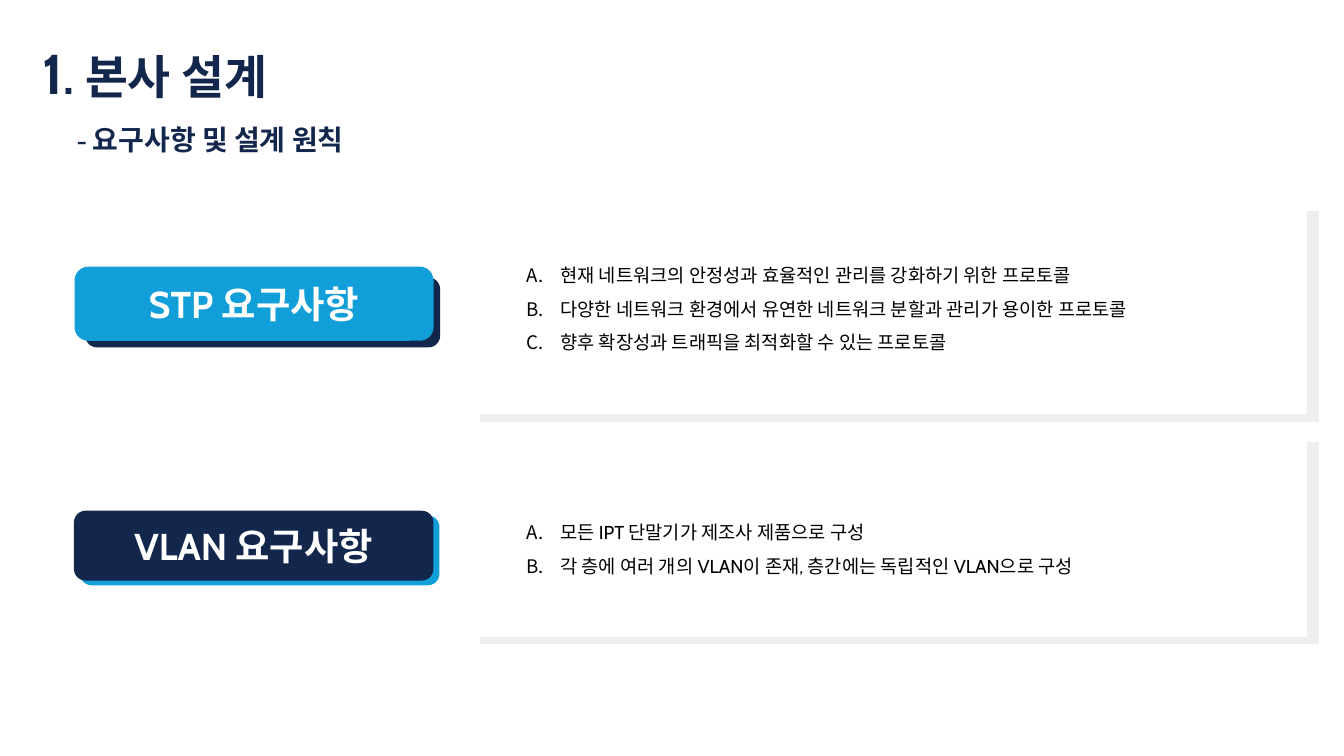
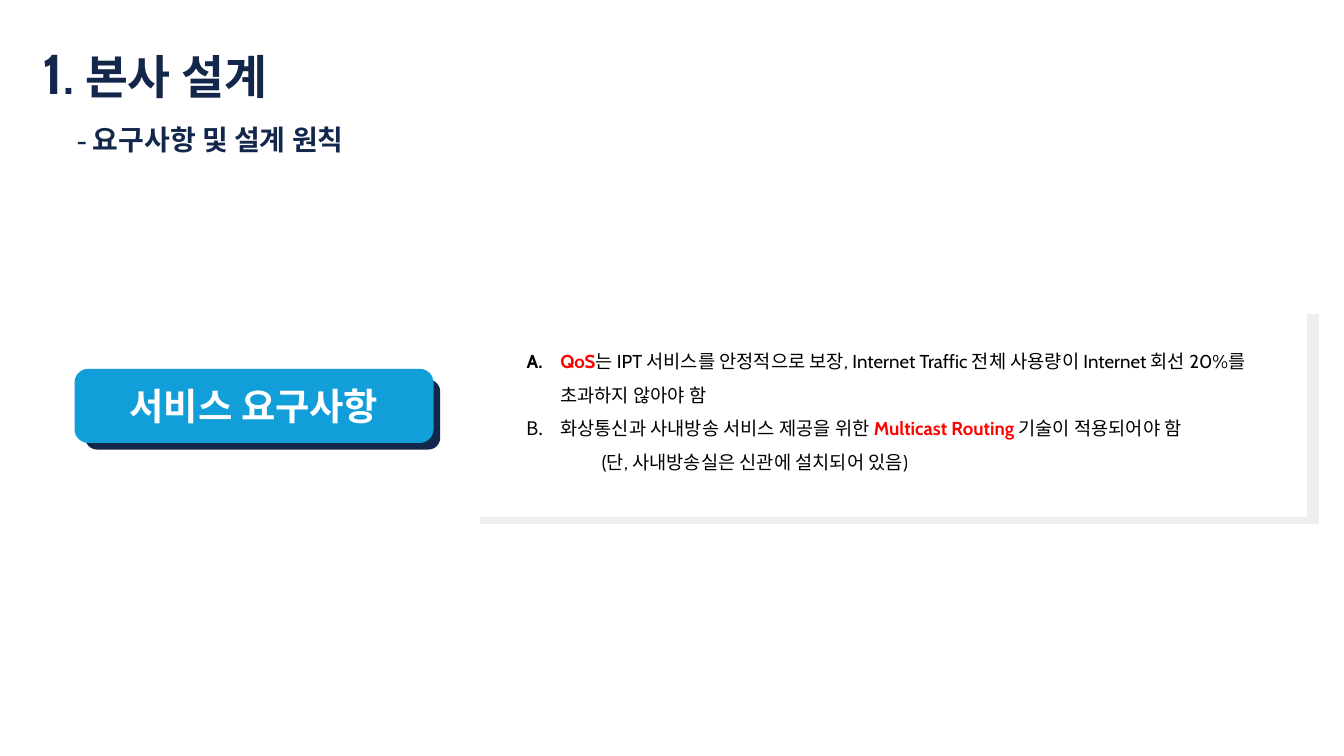
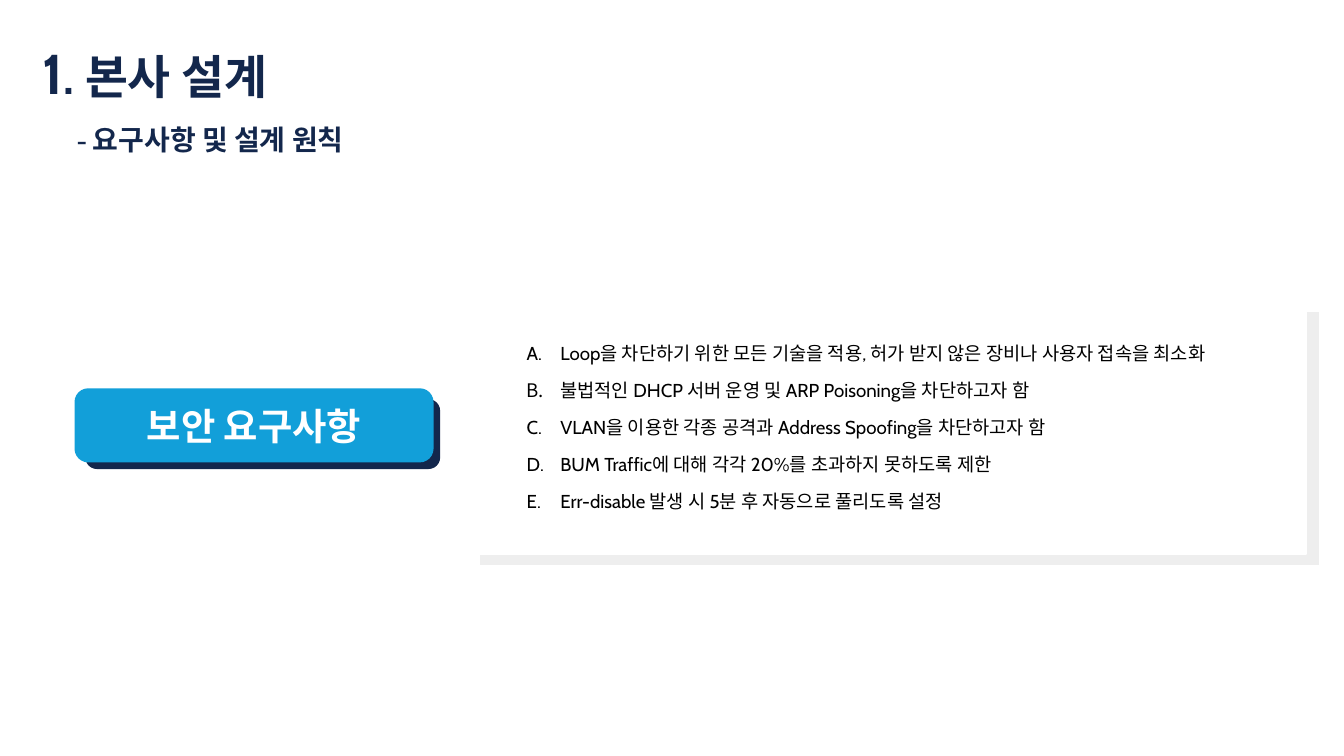
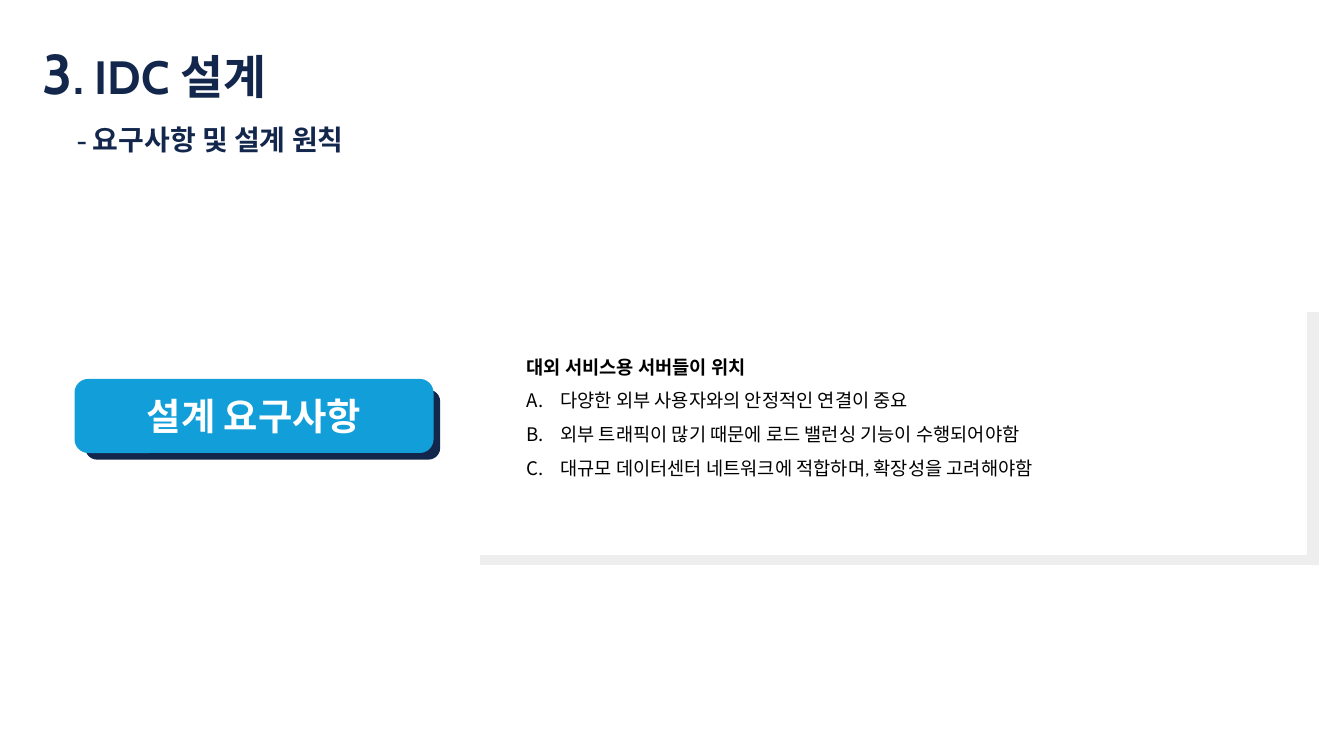
from pptx import Presentation
from pptx.dml.color import RGBColor
from pptx.enum.shapes import MSO_SHAPE
from pptx.enum.text import MSO_ANCHOR, PP_ALIGN
from pptx.oxml.ns import qn
from pptx.util import Inches, Pt
from lxml.etree import SubElement

NAVY, BLUE, GRAY, WHITE, BLACK, RED = "13274C", "129FD9", "EEEEEE", "FFFFFF", "000000", "FF0000"
FONT = "Cabin"
SUBTITLE = "요구사항 및 설계 원칙"
LEFT, HANG = 1.11, 0.5

LIGHT = dict(left=1.14, width=5.28, shift=(0.13, 0.13), front=BLUE, back=NAVY, edge=4.5)
DARK = dict(left=1.1, width=5.35, shift=(0.09, 0.07), front=NAVY, back=BLUE, edge=0)

SLIDES = [
    ("1", "본사 설계", [
        dict(label="STP 요구사항", look=LIGHT, top=4, card=(2.99, 3.16, 0.14), text=(3.15, 2.72),
             font="Arial", lines=[
                 ("item", "현재 네트워크의 안정성과 효율적인 관리를 강화하기 위한 프로토콜"),
                 ("item", "다양한 네트워크 환경에서 유연한 네트워크 분할과 관리가 용이한 프로토콜"),
                 ("item", "향후 확장성과 트래픽을 최적화할 수 있는 프로토콜")]),
        dict(label="VLAN 요구사항", look=DARK, top=7.6, card=(6.43, 3.03, 0.14), text=(6.73, 2.72),
             lines=[
                 ("item", "모든 IPT 단말기가 제조사 제품으로 구성"),
                 ("item", "각 층에 여러 개의 VLAN이 존재, 층간에는 독립적인 VLAN으로 구성")])]),
    ("1", "본사 설계", [
        dict(label="서비스 요구사항", look=LIGHT, top=5.52, card=(4.52, 3.16, 0.14), text=(4.68, 2.72),
             lines=[
                 ("item", "*QoS*는 IPT 서비스를 안정적으로 보장, Internet Traffic 전체 사용량이 "
                          "Internet 회선 20%를 초과하지 않아야 함"),
                 ("item", "화상통신과 사내방송 서비스 제공을 위한 *Multicast Routing *기술이 적용되어야 함"),
                 ("note", "(단, 사내방송실은 신관에 설치되어 있음)")])]),
    ("1", "본사 설계", [
        dict(label="보안 요구사항", look=LIGHT, top=5.81, card=(4.46, 3.79, 0.17), text=(4.24, 4.17),
             space=1.15, before=12, lines=[
                 ("item", "Loop을 차단하기 위한 모든 기술을 적용, 허가 받지 않은 장비나 사용자 접속을 최소화"),
                 ("item", "불법적인 DHCP 서버 운영 및 ARP Poisoning을 차단하고자 함"),
                 ("item", "VLAN을 이용한 각종 공격과 Address Spoofing을 차단하고자 함"),
                 ("item", "BUM Traffic에 대해 각각 20%를 초과하지 못하도록 제한"),
                 ("item", "Err-disable 발생 시 5분 후 자동으로 풀리도록 설정")])]),
    ("3", "IDC 설계", [
        dict(label="설계 요구사항", look=LIGHT, top=5.67, card=(4.46, 3.79, 0.17), text=(4.1, 4.17),
             lines=[
                 ("head", "대외 서비스용 서버들이 위치"),
                 ("item", "다양한 외부 사용자와의 안정적인 연결이 중요"),
                 ("item", "외부 트래픽이 많기 때문에 로드 밸런싱 기능이 수행되어야함"),
                 ("item", "대규모 데이터센터 네트워크에 적합하며, 확장성을 고려해야함")])]),
]


def color(code):
    return RGBColor.from_string(code)


def style(font, size, code, bold=False, name=FONT):
    font.size, font.bold, font.name = Pt(size), bold, name
    font.color.rgb = color(code)


def indent(para, left, hang=0):
    props = para._p.get_or_add_pPr()
    props.set("marL", str(Inches(left)))
    props.set("indent", str(-Inches(hang)))
    return props


def letter(para):
    props = indent(para, LEFT, HANG)
    tint = SubElement(props, qn("a:buClr"))
    SubElement(tint, qn("a:srgbClr"), val=BLACK)
    SubElement(props, qn("a:buFont"), typeface=FONT)
    SubElement(props, qn("a:buAutoNum"), type="alphaUcPeriod")


def add_box(slide, kind, at, fill, line=None, width=0):
    shape = slide.shapes.add_shape(kind, *map(Inches, at))
    shape.shadow.inherit = False
    shape.fill.solid()
    shape.fill.fore_color.rgb = color(fill)
    if width:
        shape.line.color.rgb = color(line)
        shape.line.width = Pt(width)
    else:
        shape.line.fill.background()
    return shape


def add_text(slide, at, pad):
    frame = slide.shapes.add_textbox(*map(Inches, at)).text_frame
    frame.word_wrap = True
    frame.margin_left = frame.margin_right = Inches(pad)
    frame.margin_top = frame.margin_bottom = Inches(pad / 2)
    return frame


def add_title(slide, number, name):
    frame = add_text(slide, (0.32, 0, 10.74, 2.78), 0.15)
    rows = [(0.17, [(number, 60), (". " + name, 50)]),
            (0.67, [("- ", 27), (SUBTITLE, 30)])]
    for i, (left, runs) in enumerate(rows):
        para = frame.add_paragraph() if i else frame.paragraphs[0]
        indent(para, left)
        para.line_spacing = 1.5
        for text, size in runs:
            run = para.add_run()
            run.text = text
            style(run.font, size, NAVY, True)


def add_badge(slide, label, top, look):
    left, width, (dx, dy) = look["left"], look["width"], look["shift"]
    kind = MSO_SHAPE.ROUNDED_RECTANGLE
    add_box(slide, kind, (left + dx, top + dy, width, 1.04), look["back"])
    front = add_box(slide, kind, (left, top, width, 1.04), look["front"], look["front"], look["edge"])
    frame = front.text_frame
    frame.margin_left = frame.margin_right = frame.margin_top = frame.margin_bottom = 0
    frame.vertical_anchor = MSO_ANCHOR.MIDDLE
    para = frame.paragraphs[0]
    para.text = label
    para.alignment = PP_ALIGN.CENTER
    style(para.font, 40, WHITE, True)


def add_card(slide, top, height, drop):
    for left, y, fill in ((7.13, top + drop, GRAY), (6.93, top, WHITE)):
        add_box(slide, MSO_SHAPE.RECTANGLE, (left, y, 12.51, height), fill, WHITE, 2)


def add_lines(slide, top, height, lines, name=FONT, space=1.5, before=0):
    frame = add_text(slide, (7.13, top, 12.51, height), 0.1)
    frame.vertical_anchor = MSO_ANCHOR.MIDDLE
    for i, (kind, text) in enumerate(lines):
        para = frame.add_paragraph() if i else frame.paragraphs[0]
        if kind == "item":
            letter(para)
        else:
            indent(para, 1.73 if kind == "note" else LEFT - HANG)
        para.line_spacing = 1.15 if kind == "head" else space
        if i and before:
            para.space_before = Pt(before)
        style(para.font, 20, BLACK, kind == "head", name)
        for j, part in enumerate(text.split("*")):
            if part:
                run = para.add_run()
                run.text = part
                if j % 2:
                    run.font.bold = True
                    run.font.color.rgb = color(RED)


def main():
    deck = Presentation()
    deck.slide_width, deck.slide_height = Inches(20), Inches(11.25)
    for number, name, topics in SLIDES:
        slide = deck.slides.add_slide(deck.slide_layouts[6])
        add_title(slide, number, name)
        for topic in topics:
            add_badge(slide, topic["label"], topic["top"], topic["look"])
            add_card(slide, *topic["card"])
            add_lines(slide, *topic["text"], topic["lines"], topic.get("font", FONT),
                      topic.get("space", 1.5), topic.get("before", 0))
    deck.save("out.pptx")


if __name__ == "__main__":
    main()
